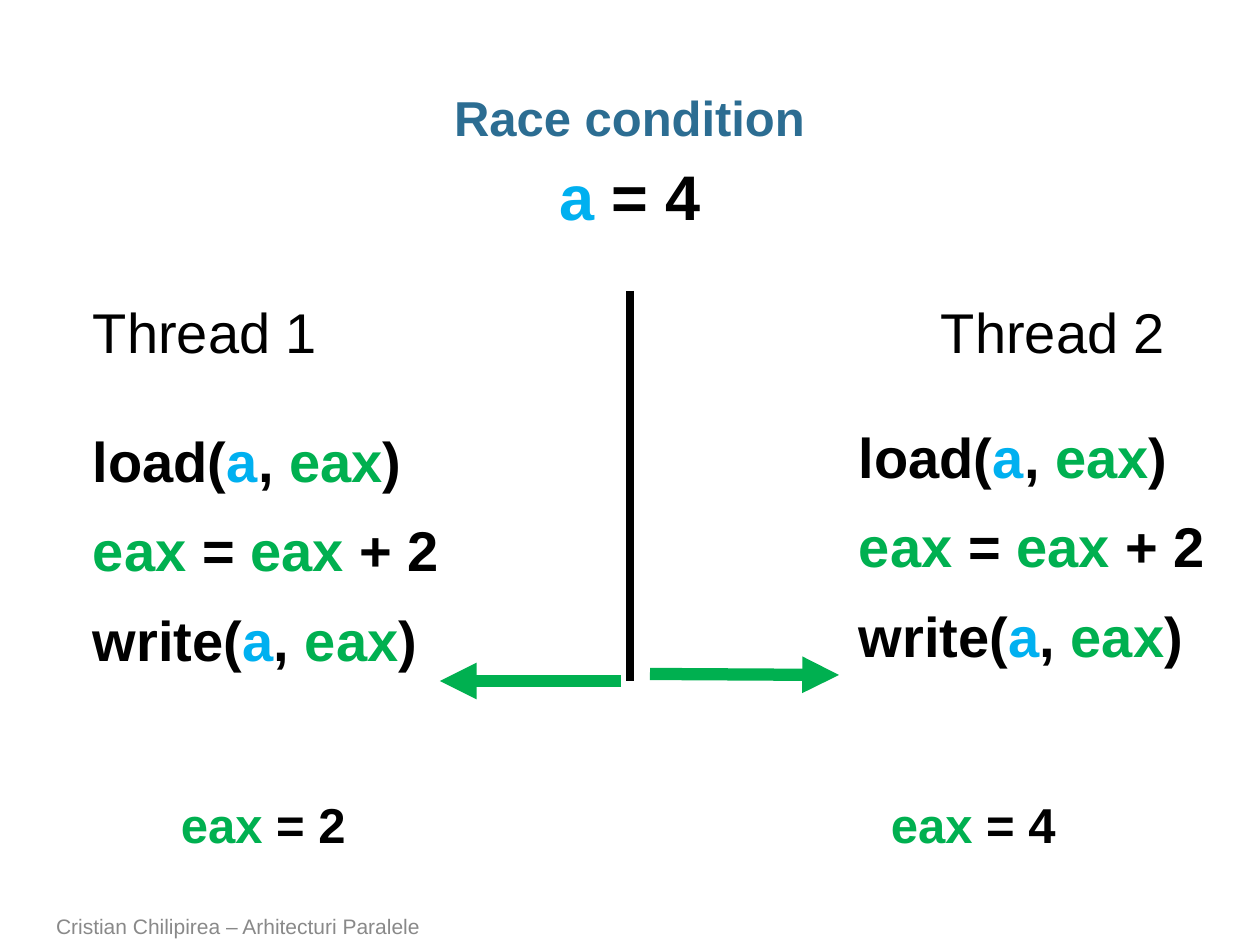
import pptx
import pptx.util
import pptx.dml.color
import pptx.enum.shapes
import pptx.enum.text
from lxml import etree
from pptx.oxml.ns import qn

PX = 914400 / 126  # EMU per pixel

THEME = {
    "font": "Arial",
    "title": "2C6D92", "text": "000000", "shared": "00B0F0",
    "register": "00B050", "footer": "898989",
    "title_size": 28, "value_size": 36, "code_size": 32,
    "result_size": 28, "footer_size": 12,
    "code_gap": 12.8, "divider_width": 5, "arrow_width": 7,
}

# Each line is a list of (wording, theme colour) pieces
THREAD_CODE = [
    [("load(", "text"), ("a", "shared"), (", ", "text"), ("eax", "register"), (")", "text")],
    [("eax", "register"), (" = ", "text"), ("eax", "register"), (" + 2", "text")],
    [("write(", "text"), ("a", "shared"), (", ", "text"), ("eax", "register"), (")", "text")],
]


def px(length):
    return pptx.util.Emu(round(length * PX))


def rgb(name):
    return pptx.dml.color.RGBColor.from_string(THEME[name])


def apply(target, values):
    for name, value in values.items():
        setattr(target, name, value)


def add_text(slide, box, lines, size, bold=True, inset=0, line_format=None, **frame_format):
    frame = slide.shapes.add_textbox(*map(px, box)).text_frame
    apply(frame, {"word_wrap": True, "margin_left": px(inset),
                  "margin_right": px(inset), **frame_format})
    for index, pieces in enumerate(lines):
        paragraph = frame.paragraphs[0] if index == 0 else frame.add_paragraph()
        apply(paragraph, line_format or {})
        if index:
            paragraph.space_before = pptx.util.Pt(THEME["code_gap"])
        for wording, color in pieces:
            run = paragraph.add_run()
            run.text = wording
            apply(run.font, {"name": THEME["font"], "bold": bold,
                             "size": pptx.util.Pt(THEME[size])})
            run.font.color.rgb = rgb(color)


def add_line(slide, start, end, color, width, arrow=False):
    line = slide.shapes.add_connector(
        pptx.enum.shapes.MSO_CONNECTOR.STRAIGHT, *map(px, start + end))
    line.line.color.rgb = rgb(color)
    line.line.width = pptx.util.Pt(THEME[width])
    if arrow:
        etree.SubElement(line.line._get_or_add_ln(), qn("a:tailEnd"), type="triangle")
    etree.SubElement(line._element.spPr, qn("a:effectLst"))


def add_thread(slide, number, heading_left, code_left, code_top):
    add_text(slide, (heading_left, 291, 326, 83), [[(f"Thread {number}", "text")]],
             "code_size", bold=False)
    add_text(slide, (code_left, code_top, 401, 310), THREAD_CODE, "code_size")


def add_result(slide, left, value):
    add_text(slide, (left, 788, 265, 72),
             [[("eax ", "register"), (f"= {value}", "text")]], "result_size", inset=13)


def main():
    deck = pptx.Presentation()
    apply(deck, {"slide_width": px(1260), "slide_height": px(945)})
    slide = deck.slides.add_slide(deck.slide_layouts[6])

    # Title and the shared variable
    add_text(slide, (43, 86, 1173, 63), [[("Race condition", "title")]], "title_size",
             line_format={"alignment": pptx.enum.text.PP_ALIGN.CENTER, "line_spacing": 0.95})
    add_text(slide, (546, 151, 169, 89), [[("a", "shared"), (" = 4", "text")]],
             "value_size", inset=13, word_wrap=False)

    # Two threads either side of the divider
    add_thread(slide, 1, 93, 93, 420)
    add_thread(slide, 2, 941, 859, 416)
    add_line(slide, (630, 291), (630, 681), "text", "divider_width")

    # Arrows marking the current step
    add_line(slide, (621, 681), (440, 681), "register", "arrow_width", arrow=True)
    add_line(slide, (650, 674), (839, 675), "register", "arrow_width", arrow=True)

    # Register values in each thread
    add_result(slide, 168, 2)
    add_result(slide, 878, 4)

    # Footer
    add_text(slide, (43, 910, 929, 35), [[("Cristian Chilipirea – Arhitecturi Paralele", "footer")]],
             "footer_size", bold=False, inset=13,
             vertical_anchor=pptx.enum.text.MSO_ANCHOR.BOTTOM)

    deck.save("out.pptx")


if __name__ == "__main__":
    main()
